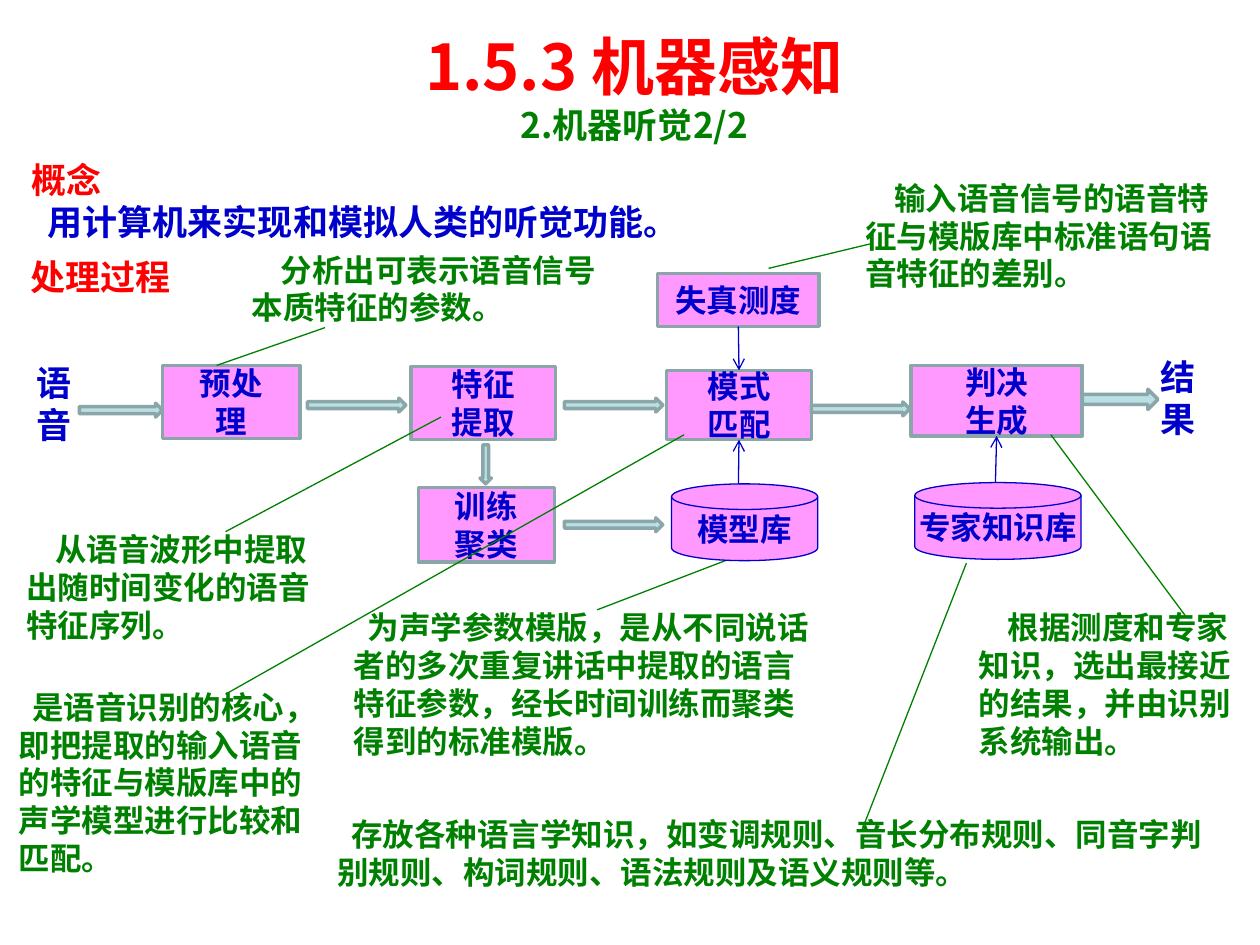
from lxml import etree
from pptx import Presentation
from pptx.dml.color import RGBColor
from pptx.enum.shapes import MSO_CONNECTOR, MSO_SHAPE as SHAPE
from pptx.enum.text import MSO_ANCHOR as ANCHOR, MSO_AUTO_SIZE as FIT, PP_ALIGN as ALIGN
from pptx.oxml.ns import qn
from pptx.util import Inches, Pt

COLORS = {"red": "FF0000", "green": "008000", "blue": "0000CC", "pink": "FF99FF",
          "aqua": "BBE0E3", "gray": "8AA6A8"}
TIMES, ARIAL, NOTO = "Times New Roman", "Arial", "Noto Sans CJK SC"
TIGHT = (0.02, 0.01)

BOXES = {
    "特征": (["特征", "提取"], (3.26, 2.91, 1.15, 0.58)),
    "模式": (["模式", "匹配"], (5.29, 2.94, 1.15, 0.55)),
    "判决": (["判决", "生成"], (7.23, 2.9, 1.36, 0.56)),
    "失真": (["失真测度"], (5.22, 2.17, 1.28, 0.42)),
    "预处理": (["预处", "理"], (1.29, 2.9, 1.09, 0.58)),
    "训练": (["训练", "聚类"], (3.32, 3.87, 1.08, 0.59)),
}
DISKS = [
    ("模型库", (5.33, 3.84, 1.16, 0.61)),
    ("专家知识库", (7.26, 3.83, 1.32, 0.61)),
]
BLOCK_ARROWS = [
    (SHAPE.RIGHT_ARROW, (0.63, 3.2, 0.66, 0.11)),
    (SHAPE.RIGHT_ARROW, (2.44, 3.16, 0.78, 0.11)),
    (SHAPE.RIGHT_ARROW, (4.48, 3.16, 0.78, 0.11)),
    (SHAPE.RIGHT_ARROW, (6.44, 3.19, 0.78, 0.11)),
    (SHAPE.RIGHT_ARROW, (8.59, 3.09, 0.6, 0.16)),
    (SHAPE.RIGHT_ARROW, (4.48, 4.11, 0.78, 0.11)),
    (SHAPE.DOWN_ARROW, (3.81, 3.53, 0.09, 0.31)),
]
LABELS = [
    (["处理过程"], (0.22, 2.02, 1.21, 0.36), "red"),
    (["语", "音"], (0.27, 2.86, 0.36, 0.7), "blue"),
    (["结果"], (9.19, 2.81, 0.43, 0.7), "blue"),
]
NOTES = [
    ("从语音波形中提取出随时间变化的语音特征序列。",
     (0.11, 4.16, 2.53, 1.01), TIMES, (1.79, 4.22), (3.5, 3.31)),
    ("为声学参数模版，是从不同说话者的多次重复讲话中提取的语言特征参数，经长时间训练而聚类得到的标准模版。",
     (2.71, 4.78, 3.94, 1.31), NOTO, (4.74, 4.84), (5.86, 4.41)),
    ("是语音识别的核心，即把提取的输入语音的特征与模版库中的声学模型进行比较和匹配。",
     (0.05, 5.41, 2.5, 1.62), NOTO, (1.79, 5.51), (5.43, 3.45)),
    ("存放各种语言学知识，如变调规则、音长分布规则、同音字判别规则、构词规则、语法规则及语义规则等。",
     (2.58, 6.42, 7.28, 0.71), NOTO, (6.84, 6.59), (7.67, 4.47)),
    ("输入语音信号的语音特征与模版库中标准语句语音特征的差别。",
     (6.77, 1.37, 3.14, 1.01), TIMES, (6.93, 1.93), (6.1, 2.13)),
    ("根据测度和专家知识，选出最接近的结果，并由识别系统输出。",
     (7.67, 4.78, 2.24, 1.31), TIMES, (9.41, 4.89), (8.34, 3.45)),
    ("分析出可表示语音信号本质特征的参数。",
     (1.9, 1.94, 2.98, 0.71), TIMES, (2.58, 2.6), (1.72, 2.9)),
]
INDENTS = {TIMES: 0.23, NOTO: 0.11}

prs = Presentation()
prs.slide_width, prs.slide_height = Inches(10), Inches(7.5)
s = prs.slides.add_slide(prs.slide_layouts[6])


def rgb(name):
    return RGBColor.from_string(COLORS[name])


def write(tf, text, size=18, color="blue", font=TIMES, align=None, indent=0, first=True):
    p = tf.paragraphs[0] if first else tf.add_paragraph()
    if align is not None:
        p.alignment = align
    if indent:
        p._p.get_or_add_pPr().set("indent", str(Inches(indent)))
    r = p.add_run()
    r.text = text
    r.font.name, r.font.size, r.font.bold = font, Pt(size), True
    r.font.color.rgb = rgb(color)
    etree.SubElement(r._r.get_or_add_rPr(), qn("a:ea")).set("typeface", NOTO)


def textbox(at, inset=(0.1, 0.05)):
    tf = s.shapes.add_textbox(*map(Inches, at)).text_frame
    tf.word_wrap, tf.auto_size = True, FIT.SHAPE_TO_FIT_TEXT
    tf.margin_left = tf.margin_right = Inches(inset[0])
    tf.margin_top = tf.margin_bottom = Inches(inset[1])
    return tf


def shape(kind, at, fill, line, width):
    sp = s.shapes.add_shape(kind, *map(Inches, at))
    sp.shadow.inherit = False
    sp.fill.solid()
    sp.fill.fore_color.rgb = rgb(fill)
    sp.line.color.rgb = rgb(line)
    sp.line.width = Pt(width)
    return sp


def connector(start, end, color, arrow=False):
    c = s.shapes.add_connector(MSO_CONNECTOR.STRAIGHT, *map(Inches, start + end))
    c.line.color.rgb = rgb(color)
    c.line.width = Pt(0.75)
    if arrow:
        etree.SubElement(c.line._get_or_add_ln(), qn("a:tailEnd")).set("type", "arrow")
    etree.SubElement(c._element.spPr, qn("a:effectLst"))
    return c


for lines, at, color in LABELS:
    tf = textbox(at, TIGHT)
    for i, text in enumerate(lines):
        write(tf, text, size=20, color=color, font=ARIAL, align=ALIGN.JUSTIFY, first=i == 0)

boxes = {}
for name, (lines, at) in BOXES.items():
    sp = boxes[name] = shape(SHAPE.RECTANGLE, at, "pink", "gray", 2)
    tf = sp.text_frame
    tf.vertical_anchor = ANCHOR.MIDDLE
    for i, text in enumerate(lines):
        write(tf, text, align=ALIGN.CENTER, first=i == 0)

for kind, at in BLOCK_ARROWS:
    shape(kind, at, "aqua", "gray", 2)

connector((7.9, 3.84), (7.9, 3.46), "blue", arrow=True).end_connect(boxes["判决"], 2)
connector((5.86, 3.89), (5.86, 3.49), "blue", arrow=True).end_connect(boxes["模式"], 2)
link = connector((5.86, 2.59), (5.86, 2.94), "blue", arrow=True)
link.begin_connect(boxes["失真"], 2)
link.end_connect(boxes["模式"], 0)

tf = textbox((0.15, 1.21, 5.65, 0.77))
write(tf, "概念", size=20, color="red")
write(tf, "用计算机来实现和模拟人类的听觉功能。", size=20, indent=0.13, first=False)

for text, at, font, start, end in NOTES:
    write(textbox(at), text, color="green", font=font, indent=INDENTS[font])
    connector(start, end, "green")

for text, at in DISKS:
    tf = shape(SHAPE.FLOWCHART_MAGNETIC_DISK, at, "pink", "blue", 0.75).text_frame
    tf.word_wrap, tf.vertical_anchor = False, ANCHOR.MIDDLE
    write(tf, text, font=NOTO, align=ALIGN.CENTER)

tf = textbox((0.23, 0.17, 9.61, 1.04))
write(tf, "1.5.3 机器感知", size=36, color="red", font=NOTO, align=ALIGN.CENTER)
write(tf, "2.机器听觉2/2", size=20, color="green", font=NOTO, align=ALIGN.CENTER, first=False)

prs.save("out.pptx")
